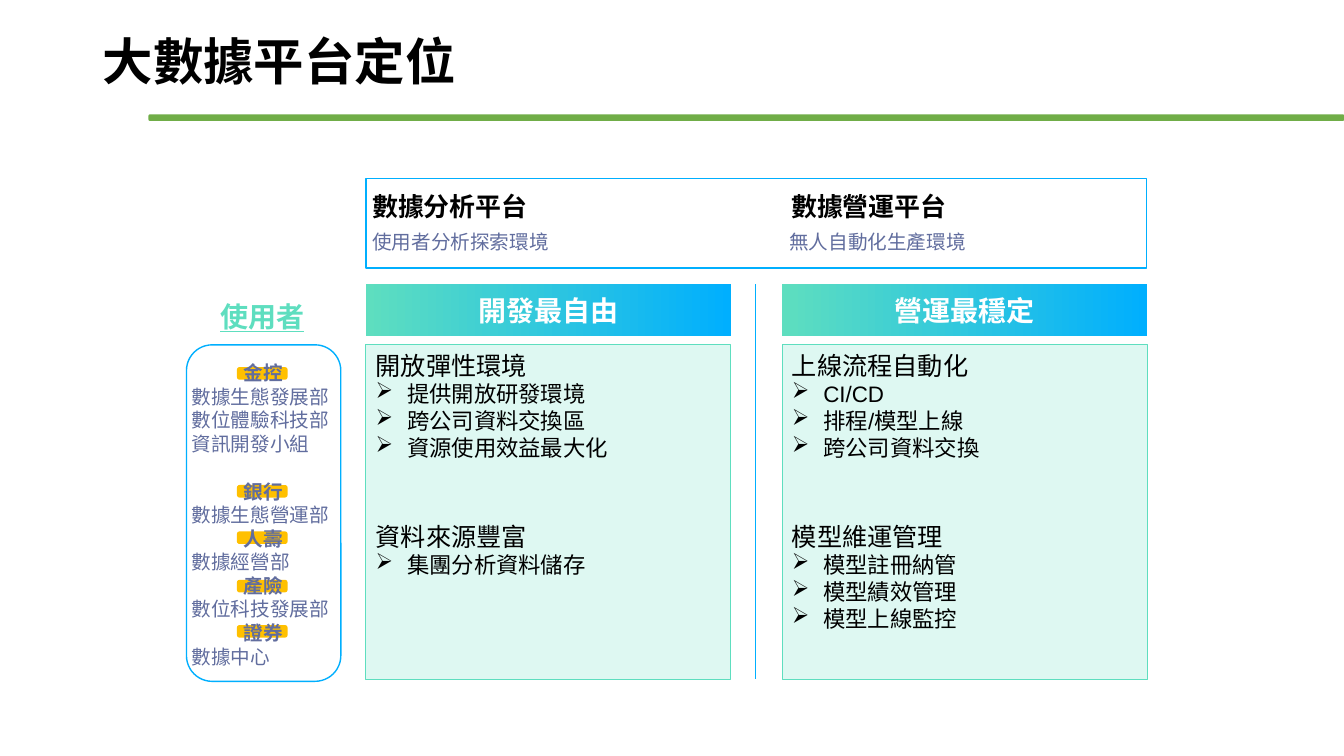
from dataclasses import dataclass

from lxml import etree
from pptx import Presentation
from pptx.dml.color import RGBColor
from pptx.enum.shapes import MSO_CONNECTOR, MSO_SHAPE
from pptx.enum.text import MSO_ANCHOR, PP_ALIGN
from pptx.oxml.ns import qn
from pptx.util import Cm, Pt

RECT, ROUND = MSO_SHAPE.RECTANGLE, MSO_SHAPE.ROUNDED_RECTANGLE
LEFT, CENTER = PP_ALIGN.LEFT, PP_ALIGN.CENTER
TOP, MIDDLE = MSO_ANCHOR.TOP, MSO_ANCHOR.MIDDLE
STRAIGHT = MSO_CONNECTOR.STRAIGHT


@dataclass(frozen=True)
class Theme:
    font: str = "Arial"
    label_font: str = "Noto Sans CJK SC"
    black: str = "000000"
    white: str = "FFFFFF"
    slate: str = "616D9E"
    mint: str = "5EDEBF"
    blue: str = "00AFFE"
    green: str = "70AD47"
    gold: str = "FFC000"
    title: float = 36
    banner: float = 20
    head: float = 18.5
    topic: float = 18
    point: float = 16
    small: float = 14


THEME = Theme()
WIDE = (0.25, 0.13)
TIGHT = (0.13, 0.08)
EVEN = (0.13, 0.13)

COL_W, BANNER_Y, PANEL_Y, PANEL_H = 9.2, 7.16, 8.69, 8.43
USER_X, USER_W = 4.7, 3.89
MARK_W = 1.24

# left, heading left, note left, note width, heading, note, banner, topics
COLUMNS = [
    (9.22, 9.25, 9.25, 6.38, "數據分析平台", "使用者分析探索環境", "開發最自由", [
        ("開放彈性環境", ["提供開放研發環境", "跨公司資料交換區", "資源使用效益最大化"]),
        ("資料來源豐富", ["集團分析資料儲存"]),
    ]),
    (19.71, 19.81, 19.76, 7.06, "數據營運平台", "無人自動化生產環境", "營運最穩定", [
        ("上線流程自動化", ["CI/CD", "排程/模型上線", "跨公司資料交換"]),
        ("模型維運管理", ["模型註冊納管", "模型績效管理", "模型上線監控"]),
    ]),
]

# company, highlight top, space before in points, departments
USERS = [
    ("金控", 9.27, 0, ["數據生態發展部", "數位體驗科技部", "資訊開發小組"]),
    ("銀行", 12.24, 17.5, ["數據生態營運部"]),
    ("人壽", 13.41, 0, ["數據經營部"]),
    ("產險", 14.63, 0, ["數位科技發展部"]),
    ("證券", 15.77, 0, ["數據中心"]),
]


def rgb(code):
    return RGBColor.from_string(code)


def add_box(slide, kind, box, fill=None, line=None, width=1, alpha=None):
    shape = slide.shapes.add_shape(kind, *map(Cm, box))
    shape.shadow.inherit = False
    if fill:
        shape.fill.solid()
        shape.fill.fore_color.rgb = rgb(fill)
    else:
        shape.fill.background()
    if alpha:
        tint = shape.fill._xPr.find(".//" + qn("a:srgbClr"))
        etree.SubElement(tint, qn("a:alpha"), val=str(alpha * 1000))
    if line:
        shape.line.color.rgb = rgb(line)
        shape.line.width = Pt(width)
    else:
        shape.line.fill.background()
    return shape


def set_frame(shape, inset, anchor=TOP):
    frame = shape.text_frame
    frame.word_wrap = True
    frame.vertical_anchor = anchor
    frame.margin_left = frame.margin_right = Cm(inset[0])
    frame.margin_top = frame.margin_bottom = Cm(inset[1])
    return frame


def add_frame(slide, box, inset, anchor=TOP):
    return set_frame(slide.shapes.add_textbox(*map(Cm, box)), inset, anchor)


def add_para(frame, text, size, color, bold=False, align=LEFT, gap=0,
             bullet=False, font=THEME.font):
    """Fill the frame's empty first paragraph, or append a new one."""
    first = frame.paragraphs[0]
    para = frame.add_paragraph() if first.runs else first
    para.text = text
    para.alignment = align
    if gap:
        para.space_before = Pt(gap)
    if bullet:
        props = para._p.get_or_add_pPr()
        props.set("marL", str(Cm(0.79)))
        props.set("indent", str(-Cm(0.79)))
        etree.SubElement(props, qn("a:buChar"), char="➢")
    para.font.name = font
    para.font.size = Pt(size)
    para.font.bold = bold
    para.font.color.rgb = rgb(color)
    return para


def add_banner(slide, left, text):
    shape = add_box(slide, RECT, (left, BANNER_Y, COL_W, 1.3))
    shape.fill.gradient()
    shape.fill.gradient_angle = 0
    for stop, code in zip(shape.fill.gradient_stops, (THEME.mint, THEME.blue)):
        stop.color.rgb = rgb(code)
    frame = set_frame(shape, EVEN, MIDDLE)
    add_para(frame, text, THEME.banner, THEME.white, True, CENTER)


def add_topics(slide, left, topics):
    box = (left, PANEL_Y, COL_W, PANEL_H)
    add_box(slide, RECT, box, THEME.mint, THEME.mint, 0.75, alpha=20)
    frame = add_frame(slide, box, WIDE)
    for index, (topic, points) in enumerate(topics):
        add_para(frame, topic, THEME.topic, THEME.black, gap=43 * index)
        for point in points:
            add_para(frame, point, THEME.point, THEME.black, bullet=True)


def add_column(slide, column):
    left, head_x, note_x, note_w, head, note, banner, topics = column
    frame = add_frame(slide, (head_x, 4.67, 4.32, 1.04), TIGHT, MIDDLE)
    add_para(frame, head, THEME.head, THEME.black, True)
    frame = add_frame(slide, (note_x, 5.72, note_w, 1.52), TIGHT)
    add_para(frame, note, THEME.small, THEME.slate)
    add_banner(slide, left, banner)
    add_topics(slide, left, topics)


def add_users(slide):
    frame = add_frame(slide, (4.83, BANNER_Y, 3.56, 1.37), WIDE)
    label = add_para(frame, "使用者", THEME.banner, THEME.mint, True, CENTER,
                     font=THEME.label_font)
    label.line_spacing = 1.3
    label.font.underline = True
    for _, top, _, _ in USERS:
        add_box(slide, ROUND, (5.99, top, MARK_W, 0.28), THEME.gold, THEME.gold)
    add_box(slide, ROUND, (USER_X, PANEL_Y, USER_W, 8.48), line=THEME.blue)
    frame = add_frame(slide, (USER_X, 9.02, USER_W, 8.2), TIGHT)
    for company, _, gap, units in USERS:
        add_para(frame, company, THEME.small, THEME.slate, True, CENTER, gap)
        for unit in units:
            add_para(frame, unit, THEME.small, THEME.slate)


def add_rule(slide, left, top, bottom):
    rule = slide.shapes.add_connector(STRAIGHT, Cm(left), Cm(top), Cm(left), Cm(bottom))
    rule.line.color.rgb = rgb(THEME.blue)
    rule.line.width = Pt(0.75)
    etree.SubElement(rule._element.spPr, qn("a:effectLst"))


def main():
    deck = Presentation()
    deck.slide_width, deck.slide_height = Cm(33.87), Cm(19.05)
    slide = deck.slides.add_slide(deck.slide_layouts[6])
    frame = add_frame(slide, (2.34, -0.23, 29.21, 3.68), WIDE, MIDDLE)
    title = add_para(frame, "大數據平台定位", THEME.title, THEME.black, True)
    title.line_spacing = 0.9
    add_box(slide, ROUND, (3.76, 2.9, 30.1, 0.13), THEME.green, THEME.green)
    add_box(slide, RECT, (9.22, 4.5, 19.68, 2.26), line=THEME.blue)
    for column in COLUMNS:
        add_column(slide, column)
    add_rule(slide, 19.05, BANNER_Y, PANEL_Y + PANEL_H)
    add_users(slide)
    deck.save("out.pptx")


if __name__ == "__main__":
    main()
